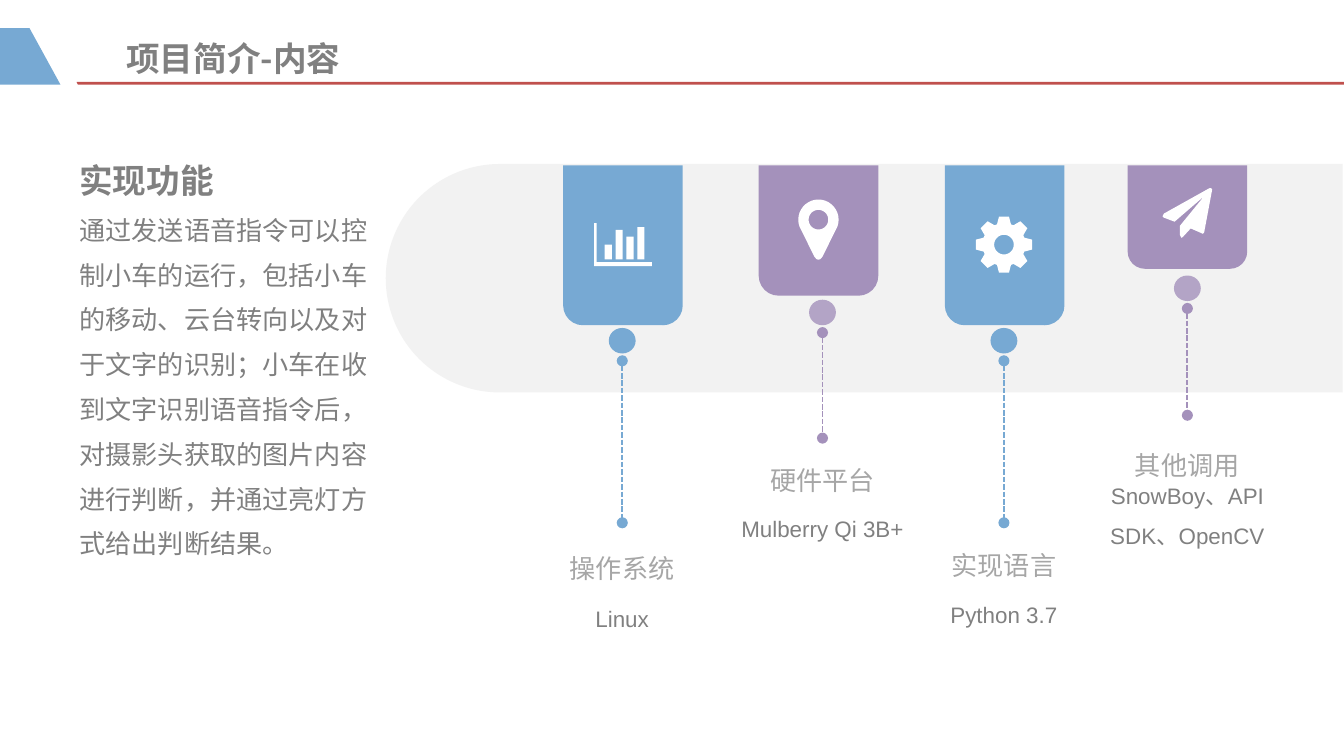
import dataclasses
import math

import lxml.etree
import pptx
import pptx.dml.color
import pptx.enum.dml
import pptx.enum.shapes
import pptx.enum.text
import pptx.oxml.ns
import pptx.util

CELL = pptx.util.Inches(0.1)
COLUMNS, ROWS = 100, 56.25
SHAPES = pptx.enum.shapes.MSO_SHAPE
ANCHOR = pptx.enum.text.MSO_ANCHOR
ALIGN = pptx.enum.text.PP_ALIGN


@dataclasses.dataclass(frozen=True)
class Theme:
    blue: str = "77A9D3"
    purple: str = "A491BB"
    red: str = "C0504D"
    band: str = "F2F2F2"
    white: str = "FFFFFF"
    text: str = "808080"
    label: str = "A6A6A6"
    latin: str = "Arial"
    chinese: str = "Noto Sans CJK SC"
    heading: int = 18
    body: int = 14
    detail: int = 12


THEME = Theme()


@dataclasses.dataclass(frozen=True)
class Topic:
    label: str
    detail: str
    color: str
    tab_center: float
    center: float
    tab_height: float
    dot_top: float
    line_end: float
    label_top: float
    detail_top: float
    label_height: float = 2.8
    detail_height: float = 3
    dot_alpha: int = 100


TOPICS = (
    Topic("操作系统", "Linux", THEME.blue, 46.35, 46.3, 11.9, 24.4, 38.9, 41, 44,
          label_height=2.1),
    Topic("硬件平台", "Mulberry Qi 3B+", THEME.purple, 60.9, 61.2, 9.7, 22.3,
          32.6, 34.1, 37.3, dot_alpha=80),
    Topic("实现语言", "Python 3.7", THEME.blue, 74.75, 74.7, 11.9, 24.4, 38.9, 40.4, 43.7),
    Topic("其他调用", "SnowBoy、API SDK、OpenCV", THEME.purple, 88.35, 88.35, 7.7, 20.5,
          30.9, 33, 34.8, detail_height=6.1, dot_alpha=80),
)


def grid(*cells):
    """Turn columns and rows of the grid into slide lengths."""
    return [round(cell * CELL) for cell in cells]


def rgb(color):
    return pptx.dml.color.RGBColor.from_string(color)


def paint(shape, color, alpha=100):
    shape.shadow.inherit = False
    shape.line.fill.background()
    shape.fill.solid()
    shape.fill.fore_color.rgb = rgb(color)
    if alpha < 100:
        solid = shape.fill._xPr.find(pptx.oxml.ns.qn("a:solidFill"))
        lxml.etree.SubElement(solid[0], pptx.oxml.ns.qn("a:alpha"), val=str(alpha * 1000))


def add_preset(shapes, kind, box, color, alpha=100, rotation=0):
    shape = shapes.add_shape(kind, *grid(*box))
    shape.rotation = rotation
    paint(shape, color, alpha)
    return shape


def add_outline(shapes, contours, color):
    """Draw one filled shape; a contour inside another becomes a hole."""
    first, *others = [[grid(*point) for point in contour] for contour in contours]
    builder = shapes.build_freeform(*first[0])
    builder.add_line_segments(first[1:], close=True)
    for contour in others:
        builder.move_to(*contour[0])
        builder.add_line_segments(contour[1:], close=True)
    paint(builder.convert_to_shape(), color)


def add_dashed_line(shapes, x, top, bottom, color):
    line = shapes.add_connector(pptx.enum.shapes.MSO_CONNECTOR.STRAIGHT, *grid(x, top, x, bottom))
    line.line.color.rgb = rgb(color)
    line.line.width = pptx.util.Pt(1)
    line.line.dash_style = pptx.enum.dml.MSO_LINE.SQUARE_DOT
    for end in ("a:headEnd", "a:tailEnd"):
        lxml.etree.SubElement(line.line._get_or_add_ln(), pptx.oxml.ns.qn(end), type="oval")
    lxml.etree.SubElement(line._element.spPr, pptx.oxml.ns.qn("a:effectLst"))


def write(paragraph, text, *, size, color=THEME.text, font=THEME.chinese, bold=False,
          align=ALIGN.LEFT, spacing=1.0):
    paragraph.alignment = align
    paragraph.line_spacing = spacing
    run = paragraph.add_run()
    run.text = text
    run.font.size = pptx.util.Pt(size)
    run.font.bold = bold
    run.font.color.rgb = rgb(color)
    run.font.name = font
    lxml.etree.SubElement(run.font._element, pptx.oxml.ns.qn("a:ea"), typeface=THEME.chinese)


def add_text_frame(shapes, box, anchor=ANCHOR.MIDDLE, grow=True):
    frame = shapes.add_textbox(*grid(*box)).text_frame
    frame.margin_left = frame.margin_right = frame.margin_top = frame.margin_bottom = 0
    frame.word_wrap = True
    frame.vertical_anchor = anchor
    sizes = pptx.enum.text.MSO_AUTO_SIZE
    frame.auto_size = sizes.SHAPE_TO_FIT_TEXT if grow else sizes.NONE
    return frame


def arc(x, y, radius, start=0, end=360, step=10):
    angles = [math.radians(angle) for angle in range(start, end + 1, step)]
    return [(x + radius * math.cos(a), y + radius * math.sin(a)) for a in angles]


def rectangle(left, top, right, bottom):
    return [(left, top), (right, top), (right, bottom), (left, bottom)]


def chart_icon():
    axes = [(44.2, 16.6), (44.4, 16.6), (44.4, 19.5), (48.5, 19.5), (48.5, 19.8), (44.2, 19.8)]
    tops = (18.2, 17.1, 17.6, 16.9)
    return [axes] + [rectangle(45 + 0.81 * i, top, 45.53 + 0.81 * i, 19.3)
                     for i, top in enumerate(tops)]


def pin_icon(x=60.9, y=16.35):
    tip = [(x + 0.3, 19.1), (x + 0.15, 19.28), (x, 19.33), (x - 0.15, 19.28), (x - 0.3, 19.1)]
    return [arc(x, y, 1.5, 160, 380) + tip, arc(x, y, 0.73)]


def gear_icon(x=74.7, y=18.2):
    tooth = ((-19, 1.6), (-10, 2.12), (10, 2.12), (19, 1.6))
    rim = [arc(x, y, radius, turn + angle, turn + angle)[0]
           for turn in range(0, 360, 45) for angle, radius in tooth]
    return [rim, arc(x, y, 0.73)]


def plane_icon():
    return [[(90.1, 14), (90.2, 14.1), (89.6, 17.3), (89.5, 17.4), (88.6, 17), (88, 17.65),
             (87.9, 17.7), (87.8, 17.5), (87.8, 16.8), (89.6, 14.6), (87.4, 16.5),
             (86.6, 16.2), (86.5, 16.1), (86.6, 15.9), (90, 14)]]


def add_header(shapes):
    add_outline(shapes, [[(5.7, 6.1), (COLUMNS, 6.1), (COLUMNS, 6.3), (5.8, 6.3)]], THEME.red)
    add_outline(shapes, [[(0, 2.1), (2.2, 2.1), (4.5, 6.3), (0, 6.3)]], THEME.blue)
    title = add_text_frame(shapes, (9.4, 2.2, 23.3, 4.2), grow=False)
    write(title.paragraphs[0], "项目简介-内容", size=THEME.heading, bold=True)


def add_features(shapes):
    frame = add_text_frame(shapes, (5.9, 11.6, 21.9, 30.3), anchor=ANCHOR.TOP)
    spacing = pptx.util.Pt(24)
    write(frame.paragraphs[0], "实现功能", size=THEME.heading, bold=True, spacing=spacing)
    write(frame.add_paragraph(),
          "通过发送语音指令可以控制小车的运行，包括小车的移动、云台转向以及对于文字的识别；"
          "小车在收到文字识别语音指令后，对摄影头获取的图片内容进行判断，并通过亮灯方式给出判断结果。",
          size=THEME.body, spacing=spacing)


def add_topic(shapes, topic, icon):
    add_preset(shapes, SHAPES.ROUND_2_SAME_RECTANGLE,
               (topic.tab_center - 4.45, 12.3, 8.9, topic.tab_height), topic.color, rotation=180)
    add_outline(shapes, icon, THEME.white)

    marker = shapes.add_group_shape().shapes
    add_preset(marker, SHAPES.OVAL, (topic.center - 1, topic.dot_top, 2, 1.9),
               topic.color, alpha=topic.dot_alpha)
    add_dashed_line(marker, topic.center, topic.dot_top + 2.45, topic.line_end, topic.color)

    caption = shapes.add_group_shape().shapes
    left, width = topic.center - 7.15, 14.3
    label = add_text_frame(caption, (left, topic.label_top, width, topic.label_height))
    write(label.paragraphs[0], topic.label, size=THEME.body, color=THEME.label,
          font=THEME.latin, align=ALIGN.CENTER, spacing=1.2)
    detail = add_text_frame(caption, (left, topic.detail_top, width, topic.detail_height))
    write(detail.paragraphs[0], topic.detail, size=THEME.detail,
          font=THEME.latin, align=ALIGN.CENTER, spacing=1.5)


def main():
    deck = pptx.Presentation()
    deck.slide_width, deck.slide_height = grid(COLUMNS, ROWS)
    shapes = deck.slides.add_slide(deck.slide_layouts[6]).shapes
    add_header(shapes)
    band = add_preset(shapes, SHAPES.ROUND_2_SAME_RECTANGLE, (55.8, -14.9, 17, 71.2),
                      THEME.band, rotation=270)
    band.adjustments[0] = 0.5
    add_features(shapes)
    for topic, icon in zip(TOPICS, (chart_icon(), pin_icon(), gear_icon(), plane_icon())):
        add_topic(shapes, topic, icon)
    deck.save("out.pptx")


if __name__ == "__main__":
    main()
